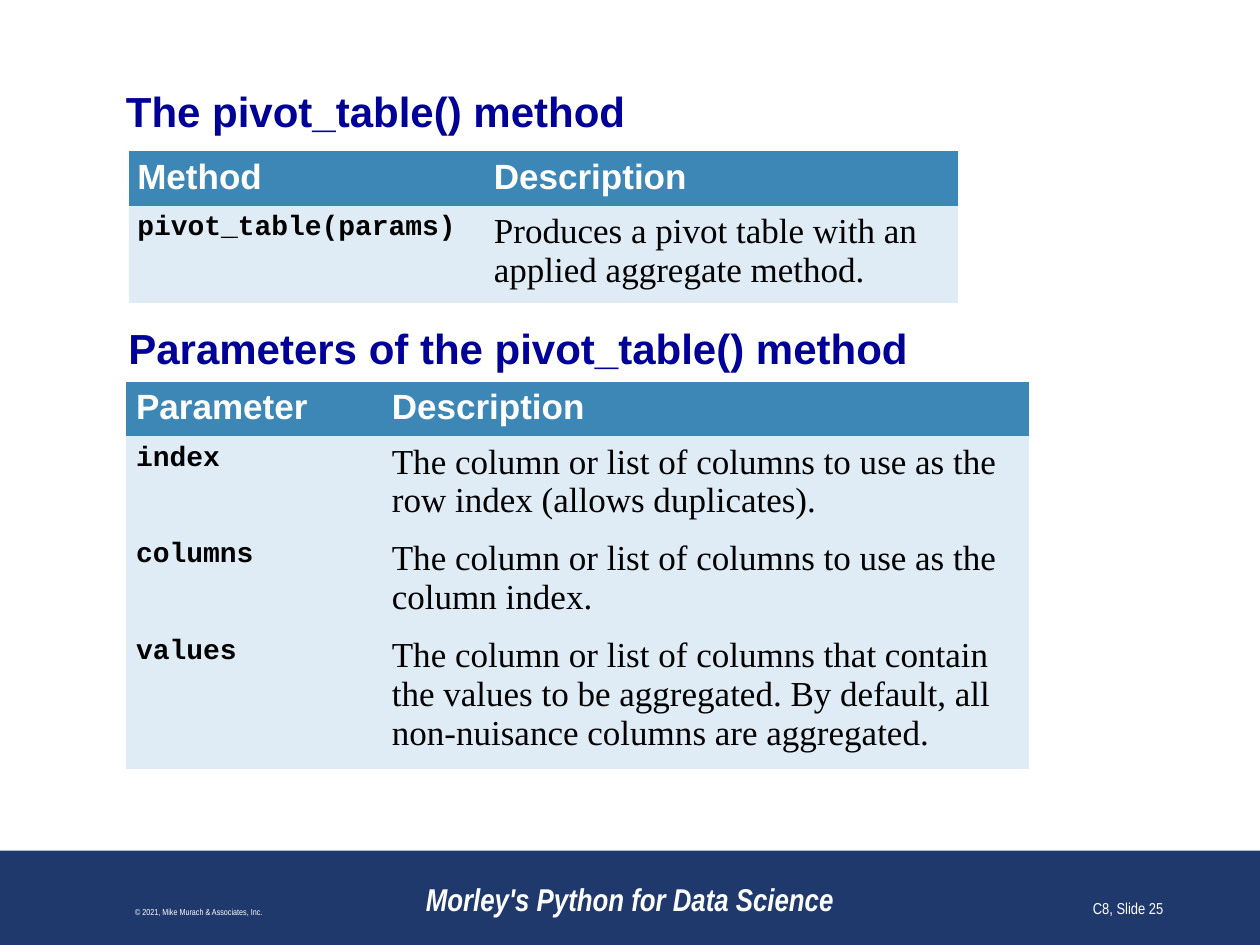
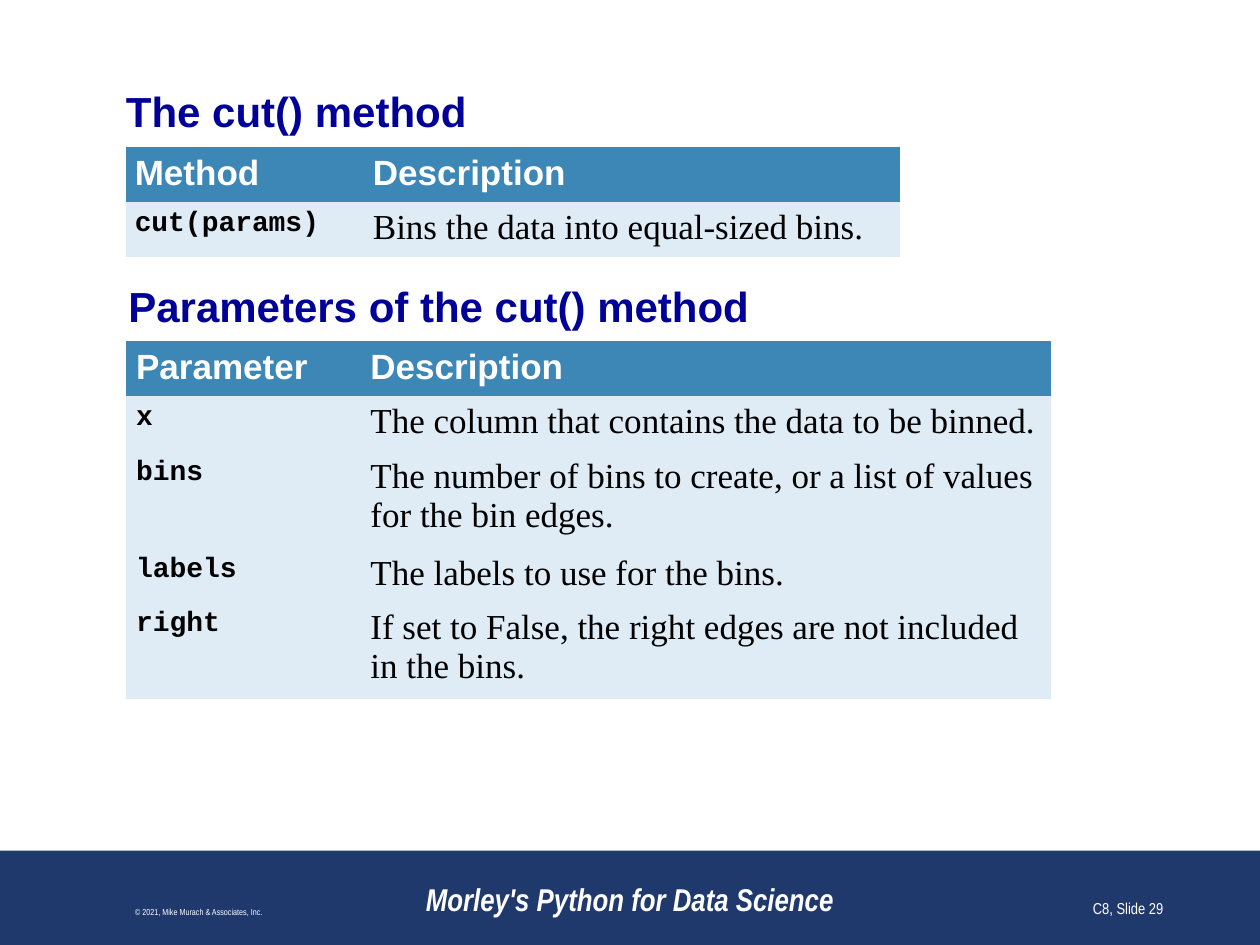
from pptx import Presentation
from pptx.dml.color import RGBColor
from pptx.enum.shapes import MSO_SHAPE
from pptx.enum.text import MSO_ANCHOR, PP_ALIGN
from pptx.oxml.ns import qn
from pptx.util import Inches, Pt

NAVY = RGBColor(0x20, 0x39, 0x6D)
HEADING_BLUE = RGBColor(0x00, 0x00, 0x99)
HEADER_BLUE = RGBColor(0x3D, 0x87, 0xB7)
PALE_BLUE = RGBColor(0xDF, 0xEC, 0xF5)
WHITE = RGBColor(0xFF, 0xFF, 0xFF)
BLACK = RGBColor(0x00, 0x00, 0x00)

NO_STYLE_NO_GRID = "{2D5ABB26-0587-4C30-8999-92F81FD0307C}"
ONE_LINE_ROW, EXTRA_LINE = 0.41, 0.3

BOOK = "Morley's Python for Data Science"
COPYRIGHT = "© 2021, Mike Murach & Associates, Inc."

# Each table row is (name, description, lines the description takes).
SLIDES = [
    {
        "number": 25,
        "title": "The pivot_table() method",
        "method": {
            "at": (1.02, 1.2), "columns": (2.83, 3.75), "inset": 0.07,
            "header": ("Method", "Description"),
            "rows": [("pivot_table(params)",
                      "Produces a pivot table with an applied aggregate method.", 2)],
        },
        "subtitle": "Parameters of the pivot_table() method",
        "subtitle_top": 2.51,
        "parameters": {
            "at": (1, 3.03), "columns": (2.03, 5.14), "inset": 0.08,
            "header": ("Parameter", "Description"),
            "rows": [
                ("index", "The column or list of columns to use as the row index "
                          "(allows duplicates).", 2),
                ("columns", "The column or list of columns to use as the column index.", 2),
                ("values", "The column or list of columns that contain the values to be "
                           "aggregated. By default, all non-nuisance columns are "
                           "aggregated.", 3),
            ],
        },
    },
    {
        "number": 29,
        "title": "The cut() method",
        "method": {
            "at": (1, 1.17), "columns": (1.89, 4.25), "inset": 0.07,
            "header": ("Method", "Description"),
            "rows": [("cut(params)", "Bins the data into equal-sized bins.", 1)],
        },
        "subtitle": "Parameters of the cut() method",
        "subtitle_top": 2.18,
        "parameters": {
            "at": (1, 2.71), "columns": (1.86, 5.48), "inset": 0.08,
            "header": ("Parameter", "Description"),
            "rows": [
                ("x", "The column that contains the data to be binned.", 1),
                ("bins", "The number of bins to create, or a list of values for the "
                         "bin edges.", 2),
                ("labels", "The labels to use for the bins.", 1),
                ("right", "If set to False, the right edges are not included in the "
                          "bins.", 2),
            ],
        },
    },
]


def write(frame, text, font_name, size, color, bold=False, italic=False,
          align=PP_ALIGN.LEFT):
    frame.word_wrap = True
    frame.text = text
    paragraph = frame.paragraphs[0]
    paragraph.alignment = align
    font = paragraph.font
    font.name, font.size, font.bold, font.italic = font_name, Pt(size), bold, italic
    font.color.rgb = color


def add_text(slide, box, anchor, *style, **options):
    frame = slide.shapes.add_textbox(*map(Inches, box)).text_frame
    frame.vertical_anchor = anchor
    write(frame, *style, **options)
    return frame


def add_heading(slide, box, text, anchor):
    return add_text(slide, box, anchor, text, "Arial", 24, HEADING_BLUE, bold=True)


def add_footer(slide, number):
    band = slide.shapes.add_shape(MSO_SHAPE.RECTANGLE, Inches(0), Inches(6.75),
                                  Inches(10), Inches(0.75))
    band.shadow.inherit = False
    band.fill.solid()
    band.fill.fore_color.rgb = NAVY
    band.line.fill.background()
    for left, width, text, size, strong, align in [
        (3, 4, BOOK, 18, True, PP_ALIGN.CENTER),
        (0.08, 3, COPYRIGHT, 5, False, PP_ALIGN.CENTER),
        (7.25, 2.08, f"C8, Slide {number}", 9, False, PP_ALIGN.RIGHT),
    ]:
        add_text(slide, (left, 6.83, width, 0.5), MSO_ANCHOR.BOTTOM, text,
                 "Arial Narrow", size, WHITE, bold=strong, italic=strong, align=align)


def fill_cell(cell, fill, inset, *style):
    cell.fill.solid()
    cell.fill.fore_color.rgb = fill
    cell.margin_left = cell.margin_right = Inches(inset)
    write(cell.text_frame, *style)


def add_reference_table(slide, spec_table):
    columns, rows, inset = (spec_table[key] for key in ("columns", "rows", "inset"))
    heights = [ONE_LINE_ROW] + [ONE_LINE_ROW + EXTRA_LINE * (lines - 1)
                                for _, _, lines in rows]
    box = (*spec_table["at"], sum(columns), sum(heights))
    graphic = slide.shapes.add_table(len(heights), len(columns), *map(Inches, box))
    graphic._element.find(".//" + qn("a:tableStyleId")).text = NO_STYLE_NO_GRID
    table = graphic.table
    for column, width in zip(table.columns, columns):
        column.width = Inches(width)
    for row, height in zip(table.rows, heights):
        row.height = Inches(height)

    for column, label in enumerate(spec_table["header"]):
        fill_cell(table.cell(0, column), HEADER_BLUE, inset,
                  label, "Arial", 20, WHITE, True)
    for row, (name, description, _) in enumerate(rows, start=1):
        fill_cell(table.cell(row, 0), PALE_BLUE, inset,
                  name, "Courier New", 16, BLACK, True)
        fill_cell(table.cell(row, 1), PALE_BLUE, inset,
                  description, "Times New Roman", 20, BLACK)


def main():
    deck = Presentation()
    deck.slide_width, deck.slide_height = Inches(10), Inches(7.5)
    for content in SLIDES:
        slide = deck.slides.add_slide(deck.slide_layouts[6])
        add_footer(slide, content["number"])
        title = add_heading(slide, (1, 0.68, 8, 0.4), content["title"], MSO_ANCHOR.MIDDLE)
        title.margin_left = title.margin_right = 0
        title.margin_top = title.margin_bottom = 0
        add_reference_table(slide, content["method"])
        add_heading(slide, (0.92, content["subtitle_top"], 8.08, 0.4),
                    content["subtitle"], MSO_ANCHOR.TOP)
        add_reference_table(slide, content["parameters"])
    deck.save("out.pptx")


if __name__ == "__main__":
    main()
